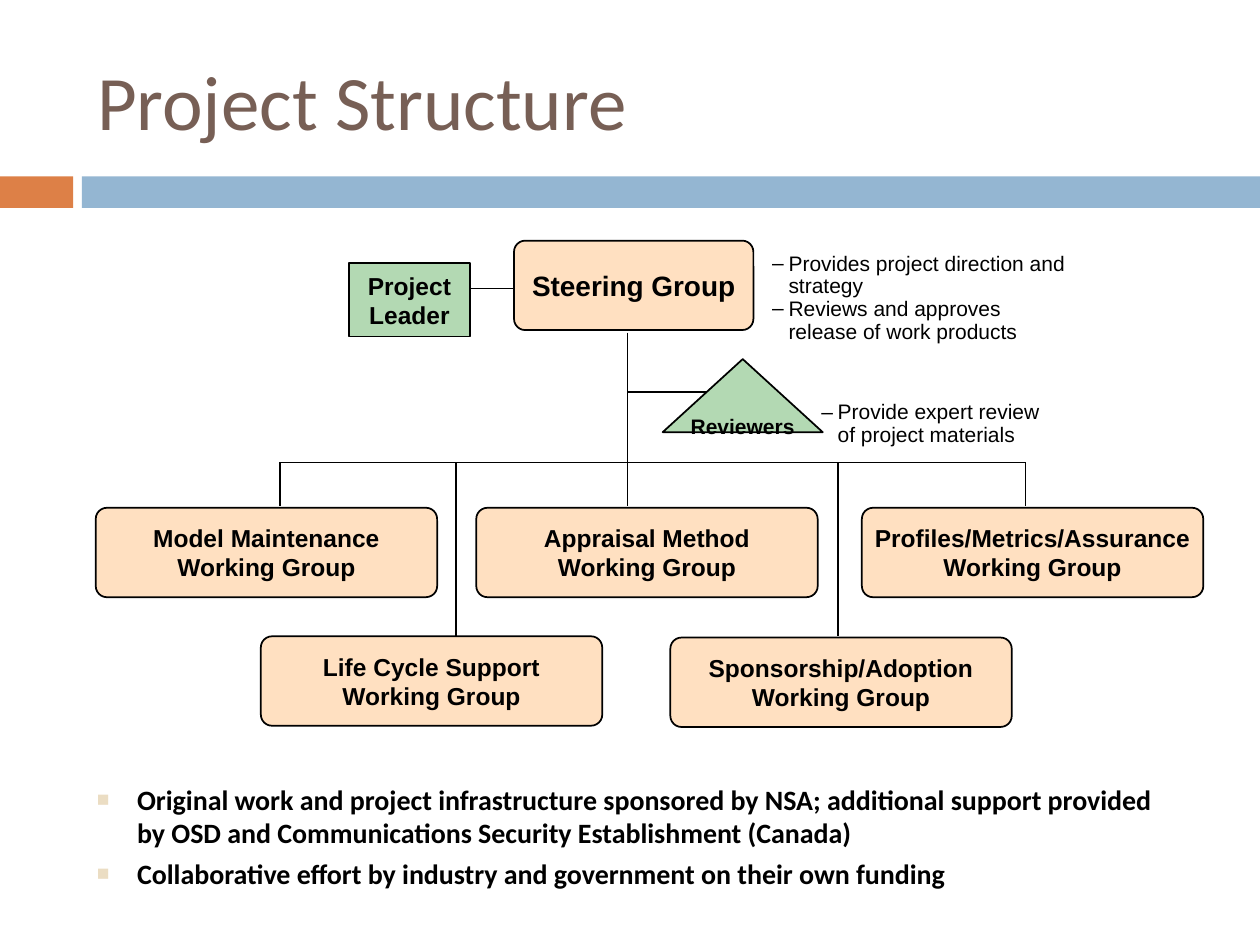
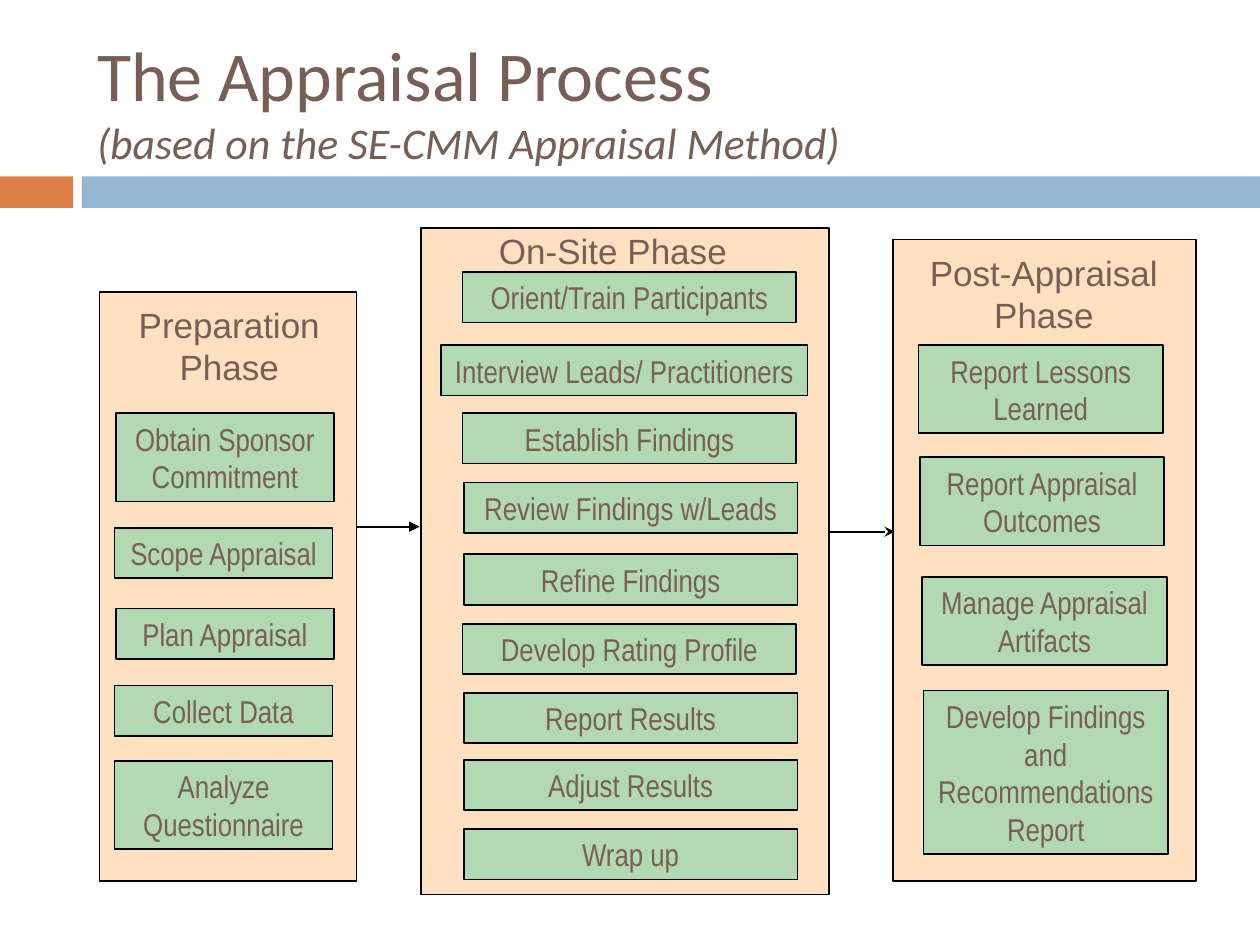
from lxml import etree
from pptx import Presentation
from pptx.dml.color import RGBColor
from pptx.enum.shapes import MSO_CONNECTOR, MSO_SHAPE
from pptx.enum.text import MSO_ANCHOR, MSO_AUTO_SIZE, PP_ALIGN
from pptx.oxml.ns import qn
from pptx.util import Inches, Pt

RECT = MSO_SHAPE.RECTANGLE
ROUNDED = MSO_SHAPE.ROUNDED_RECTANGLE
TRIANGLE = MSO_SHAPE.ISOSCELES_TRIANGLE
STRAIGHT = MSO_CONNECTOR.STRAIGHT
MIDDLE, TOP = MSO_ANCHOR.MIDDLE, MSO_ANCHOR.TOP
LEFT, CENTER = PP_ALIGN.LEFT, PP_ALIGN.CENTER
NO_AUTOFIT = MSO_AUTO_SIZE.NONE

BLACK = RGBColor(0x00, 0x00, 0x00)
BROWN = RGBColor(0x77, 0x5F, 0x55)
ORANGE = RGBColor(0xDD, 0x80, 0x47)
BLUE = RGBColor(0x94, 0xB6, 0xD2)
PEACH = RGBColor(0xFF, 0xE0, 0xC1)
GREEN = RGBColor(0xB3, 0xD9, 0xB3)
SAND = RGBColor(0xEB, 0xDD, 0xC3)

TITLE_FONT, BODY_FONT, STEP_FONT = "Calibri", "Arial", "Arial Narrow"
TITLE_ONLY = 5


def inches(*lengths):
    return [Inches(length) for length in lengths]


class Deck:
    """Holds the shared style and draws on the current slide."""

    def __init__(self):
        self.prs = Presentation()
        self.prs.slide_width, self.prs.slide_height = inches(10, 7.5)
        self.slide = None

    def new_slide(self, title, size, subtitle=None, subtitle_size=None):
        layout = self.prs.slide_layouts[TITLE_ONLY]
        self.slide = self.prs.slides.add_slide(layout)
        self.shape(RECT, (0, 1.4, 0.58, 0.25), ORANGE, outlined=False)
        self.shape(RECT, (0.65, 1.4, 9.35, 0.25), BLUE, outlined=False)

        heading = self.slide.shapes.title
        heading.left, heading.top, heading.width, heading.height = inches(
            0.67, 0.25, 8.92, 1.08)
        frame = heading.text_frame
        frame.auto_size = NO_AUTOFIT
        frame.vertical_anchor = MIDDLE
        paragraph = frame.paragraphs[0]
        paragraph.alignment = LEFT
        self.add_run(paragraph, title, size, TITLE_FONT, BROWN)
        if subtitle:
            paragraph.add_line_break()
            self.add_run(paragraph, subtitle, subtitle_size, TITLE_FONT, BROWN,
                         italic=True)

    def add_run(self, paragraph, text, size, font, color, bold=False,
                italic=False):
        run = paragraph.add_run()
        run.text = text
        run.font.size = Pt(size)
        run.font.name = font
        run.font.color.rgb = color
        run.font.bold = bold
        run.font.italic = italic

    def fill_text(self, frame, lines, size, font=BODY_FONT, color=BLACK,
                  bold=False, align=CENTER, anchor=MIDDLE, wrap=False):
        """Fill a text frame with one paragraph per line."""
        frame.word_wrap = wrap
        frame.vertical_anchor = anchor
        for index, line in enumerate(lines):
            paragraph = frame.paragraphs[0] if index == 0 else frame.add_paragraph()
            paragraph.alignment = align
            self.add_run(paragraph, line, size, font, color, bold)

    def shape(self, kind, box, fill, outlined=True):
        shape = self.slide.shapes.add_shape(kind, *inches(*box))
        shape.shadow.inherit = False
        shape.fill.solid()
        shape.fill.fore_color.rgb = fill
        if outlined:
            shape.line.color.rgb = BLACK
            shape.line.width = Pt(1)
        else:
            shape.line.fill.background()
        return shape

    def group_box(self, box, lines, size=14):
        shape = self.shape(ROUNDED, box, PEACH)
        shape.adjustments[0] = 0.125
        self.fill_text(shape.text_frame, lines, size, bold=True)

    def role(self, kind, box, lines, size, top_inset=0.03):
        shape = self.shape(kind, box, GREEN)
        frame = shape.text_frame
        frame.margin_left = frame.margin_right = Inches(0.07)
        frame.margin_top, frame.margin_bottom = inches(top_inset, 0.03)
        self.fill_text(frame, lines, size, bold=True)

    def step(self, box, label):
        shape = self.shape(RECT, box, GREEN)
        self.fill_text(shape.text_frame, [label], 18, STEP_FONT, BROWN, wrap=True)

    def label(self, box, lines):
        frame = self.slide.shapes.add_textbox(*inches(*box)).text_frame
        self.fill_text(frame, lines, 20, color=BROWN, anchor=TOP)

    def bullets(self, box, lines, size, mark, mark_color, hang, margin,
                mark_percent=100, spacing=1.0, gap=0, **style):
        frame = self.slide.shapes.add_textbox(*inches(*box)).text_frame
        self.fill_text(frame, lines, size, align=LEFT, anchor=TOP, wrap=True,
                       **style)
        for index, paragraph in enumerate(frame.paragraphs):
            paragraph.line_spacing = spacing
            if index:
                paragraph.space_before = Pt(gap)
            properties = paragraph._p.get_or_add_pPr()
            properties.set("marL", str(Inches(margin)))
            properties.set("indent", str(-Inches(hang)))
            color = etree.SubElement(properties, qn("a:buClr"))
            etree.SubElement(color, qn("a:srgbClr"), val=str(mark_color))
            etree.SubElement(properties, qn("a:buSzPct"),
                             val=str(mark_percent * 1000))
            etree.SubElement(properties, qn("a:buFont"), typeface=BODY_FONT)
            etree.SubElement(properties, qn("a:buChar"), char=mark)

    def line(self, start, end, arrowhead=None):
        connector = self.slide.shapes.add_connector(
            STRAIGHT, *inches(*start, *end))
        connector.line.color.rgb = BLACK
        connector.line.width = Pt(1)
        properties = connector.element.spPr
        if arrowhead:
            outline = properties.find(qn("a:ln"))
            etree.SubElement(outline, qn("a:tailEnd"), type=arrowhead)
        etree.SubElement(properties, qn("a:effectLst"))


def project_structure(deck):
    deck.new_slide("Project Structure", 44)

    trunk_x, bus_y, upper_y, lower_y = 4.98, 3.67, 4.02, 5.05
    deck.line((3.72, 2.29), (4.08, 2.29))
    deck.line((trunk_x, 2.64), (trunk_x, bus_y))
    deck.line((trunk_x, 3.11), (5.63, 3.11))
    deck.line((2.22, bus_y), (8.14, bus_y))
    drops = [(2.22, upper_y), (trunk_x, upper_y), (8.14, upper_y),
             (3.62, lower_y), (6.65, lower_y)]
    for x, end_y in drops:
        deck.line((x, bus_y), (x, end_y))

    deck.role(RECT, (2.77, 2.09, 0.96, 0.58), ["Project", "Leader"], 14)
    deck.role(TRIANGLE, (5.26, 2.85, 1.27, 0.58), ["Reviewers"], 12,
              top_inset=0.23)
    deck.group_box((4.08, 1.91, 1.9, 0.71), ["Steering Group"], 16)
    working_groups = [
        ("Model Maintenance", 0.76, 4.03),
        ("Appraisal Method", 3.78, 4.03),
        ("Profiles/Metrics/Assurance", 6.84, 4.03),
        ("Life Cycle Support", 2.07, 5.05),
        ("Sponsorship/Adoption", 5.32, 5.06),
    ]
    for name, left, top in working_groups:
        deck.group_box((left, top, 2.71, 0.71), [name, "Working Group"])

    duties = [
        ((5.78, 1.96, 2.82, 1.17),
         ["Provides project direction and strategy",
          "Reviews and approves release of work products"]),
        ((6.17, 3.14, 2.32, 1.1),
         ["Provide expert review of project materials"]),
    ]
    for box, lines in duties:
        deck.bullets(box, lines, 12, "–", BLACK, hang=0.13, margin=0.38,
                     spacing=0.9)
    deck.bullets(
        (0.67, 6.16, 8.75, 1.22),
        ["Original work and project infrastructure sponsored by NSA; additional "
         "support provided by OSD and Communications Security Establishment "
         "(Canada)",
         "Collaborative effort by industry and government on their own funding"],
        16, "■", SAND, hang=0.32, margin=0.32, mark_percent=75, gap=4,
        font=TITLE_FONT, bold=True)


def appraisal_process(deck):
    deck.new_slide("The Appraisal Process", 40,
                   "(based on the SE-CMM Appraisal Method)", 25)

    # Each phase: panel, heading box, heading, step width,
    # steps as (label, left, top, number of text lines)
    phases = [
        ((0.79, 2.32, 2.04, 4.67), (1, 2.36, 1.64, 0.77),
         ["Preparation", "Phase"], 1.73,
         [("Obtain Sponsor Commitment", 0.92, 3.28, 2),
          ("Scope Appraisal", 0.91, 4.19, 1),
          ("Plan Appraisal", 0.92, 4.83, 1),
          ("Collect Data", 0.91, 5.44, 1),
          ("Analyze Questionnaire", 0.91, 6.04, 2)]),
        ((3.34, 1.81, 3.24, 5.29), (3.86, 1.77, 2.01, 0.43),
         ["On-Site Phase"], 2.65,
         [("Orient/Train Participants", 3.67, 2.16, 1),
          ("Establish Findings", 3.67, 3.28, 1),
          ("Review Findings w/Leads", 3.68, 3.83, 1),
          ("Refine Findings", 3.68, 4.4, 1),
          ("Develop Rating Profile", 3.67, 4.95, 1),
          ("Report Results", 3.68, 5.5, 1),
          ("Adjust Results", 3.68, 6.03, 1),
          ("Wrap up", 3.68, 6.58, 1)]),
        ((7.09, 1.9, 2.4, 5.09), (7.28, 1.95, 2.01, 0.77),
         ["Post-Appraisal", "Phase"], 1.94,
         [("Report Lessons Learned", 7.29, 2.74, 2),
          ("Report Appraisal Outcomes", 7.3, 3.63, 2),
          ("Manage Appraisal Artifacts", 7.32, 4.58, 2),
          ("Develop Findings and Recommendations Report", 7.33, 5.48, 4)]),
    ]
    for panel, heading_box, heading, step_width, steps in phases:
        deck.shape(RECT, panel, PEACH)
        deck.label(heading_box, heading)
        for label, left, top, line_count in steps:
            deck.step((left, top, step_width, 0.1 + 0.3 * line_count), label)
    deck.step((3.5, 2.74, 2.91, 0.4), "Interview Leads/ Practitioners")

    deck.line((2.83, 4.18), (3.33, 4.18), "triangle")
    deck.line((6.59, 4.22), (7.1, 4.22), "stealth")


def main():
    deck = Deck()
    project_structure(deck)
    appraisal_process(deck)
    deck.prs.save("out.pptx")


if __name__ == "__main__":
    main()
